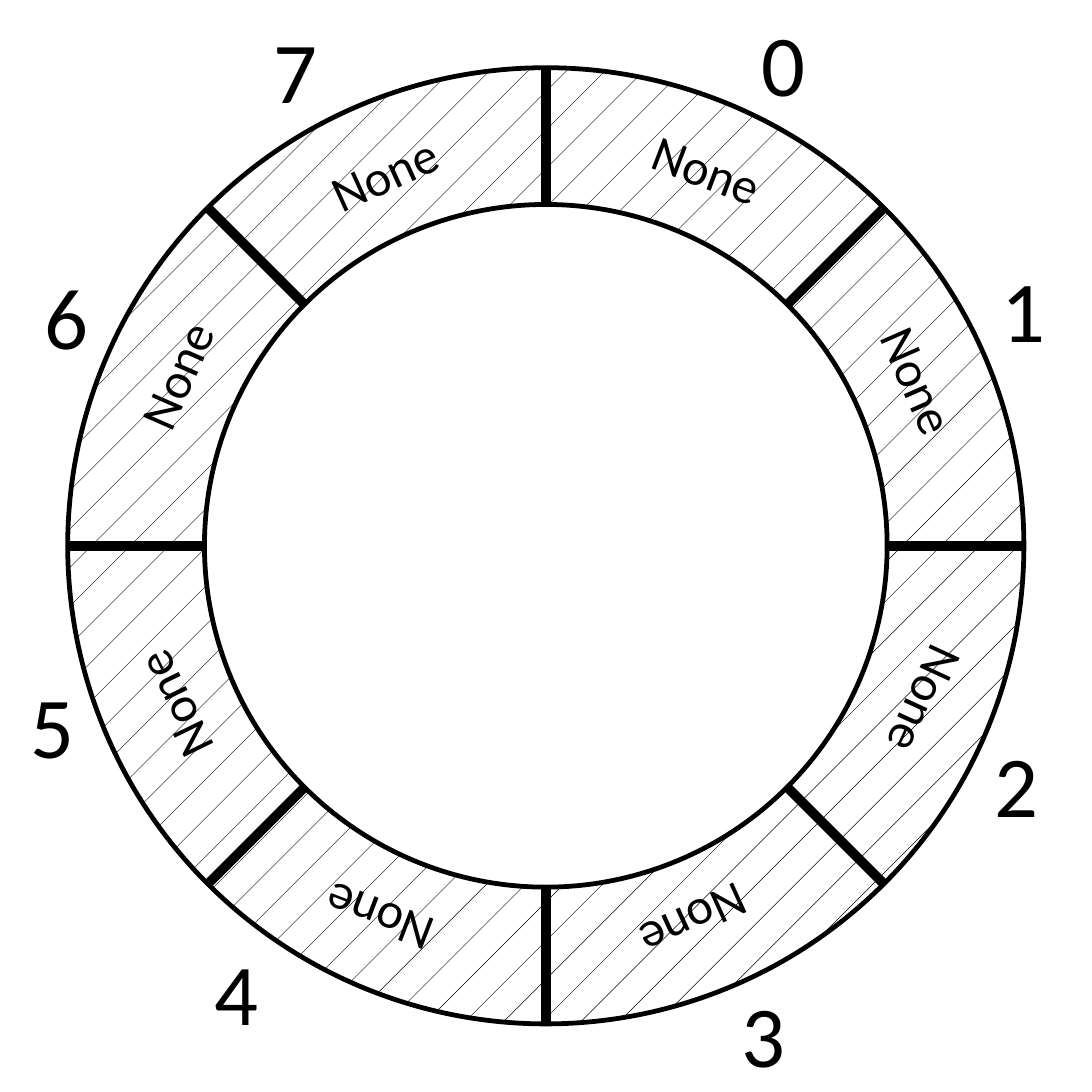
"""Build a slide showing an empty ring buffer with eight numbered slots."""
from dataclasses import dataclass
from math import cos, pi, sin

from lxml.etree import SubElement
from pptx import Presentation
from pptx.dml.color import RGBColor
from pptx.dml.line import LineFormat
from pptx.enum.dml import MSO_PATTERN
from pptx.enum.shapes import MSO_CONNECTOR, MSO_SHAPE
from pptx.enum.text import MSO_AUTO_SIZE
from pptx.oxml.ns import qn
from pptx.shapes.autoshape import Shape
from pptx.slide import Slide
from pptx.util import Pt

SIDE = 226.8
CENTER = SIDE / 2
OUTER_RADIUS = 99.3
INNER_RADIUS = 70.9
BLACK = "000000"
WHITE = "FFFFFF"


@dataclass(frozen=True)
class Label:
    """Size and font formats of one kind of label."""
    width: float
    height: float
    formats: dict


@dataclass(frozen=True)
class Slot:
    """Places of the index and the rotated value of one slot."""
    index_left: float
    index_top: float
    value_left: float
    value_top: float
    rotation: float


INDEX = Label(23.8, 28.8, {"name": "Calibri", "size": Pt(18)})
VALUE = Label(37.4, 20.2, {"name": "Calibri", "size": Pt(10.5)})

SLOTS = [
    Slot(151.2, -1.4, 128.2, 25.2, 20.9),
    Slot(200.9, 49.7, 172.1, 69.1, 66.3),
    Slot(199.4, 148.3, 173.5, 135.4, 114.8),
    Slot(146.9, 200.2, 125.3, 181.4, 155.6),
    Slot(37.4, 191.5, 59.8, 180.7, 200.9),
    Slot(-0.7, 136.1, 17.3, 136.1, 244),
    Slot(2.2, 51.1, 18, 67.7, 293.7),
    Slot(49.7, 0, 61.2, 25.9, 335.5),
]


def color(value: str) -> RGBColor:
    """Turn a hex string into a colour."""
    return RGBColor.from_string(value)


def set_line(line: LineFormat, width: float) -> None:
    """Give a line its colour and width."""
    line.color.rgb = color(BLACK)
    line.width = Pt(width)


def add_circle(s: Slide, radius: float) -> Shape:
    """Add an outlined circle around the ring's center."""
    corner, size = Pt(CENTER - radius), Pt(2 * radius)
    sp = s.shapes.add_shape(MSO_SHAPE.OVAL, corner, corner, size, size)
    sp.shadow.inherit = False
    set_line(sp.line, 1)
    return sp


def add_spoke(s: Slide, angle: float) -> None:
    """Add a divider from the center to the outer circle."""
    x = CENTER + OUTER_RADIUS * cos(angle)
    y = CENTER + OUTER_RADIUS * sin(angle)
    spoke = s.shapes.add_connector(
        MSO_CONNECTOR.STRAIGHT, Pt(CENTER), Pt(CENTER), Pt(x), Pt(y))
    set_line(spoke.line, 2)
    SubElement(spoke._element.spPr, qn("a:effectLst"))


def add_label(s: Slide, label: Label, text: str, left: float, top: float,
              rotation: float = 0) -> None:
    """Add one label, turned if asked."""
    sp = s.shapes.add_textbox(
        Pt(left), Pt(top), Pt(label.width), Pt(label.height))
    sp.rotation = rotation
    tf = sp.text_frame
    tf.word_wrap = False
    tf.auto_size = MSO_AUTO_SIZE.SHAPE_TO_FIT_TEXT
    r = tf.paragraphs[0].add_run()
    r.text = text
    r.font.color.rgb = color(BLACK)
    for name, value in label.formats.items():
        setattr(r.font, name, value)


def main() -> None:
    """Draw the ring and its labels, then save."""
    prs = Presentation()
    prs.slide_width = prs.slide_height = Pt(SIDE)
    s = prs.slides.add_slide(prs.slide_layouts[6])

    ring = add_circle(s, OUTER_RADIUS)
    ring.fill.patterned()
    ring.fill.pattern = MSO_PATTERN.PERCENT_10
    ring.fill.fore_color.rgb = color(BLACK)
    ring.fill.back_color.rgb = color(WHITE)

    for i in range(len(SLOTS)):
        add_spoke(s, 2 * pi * i / len(SLOTS))

    hole = add_circle(s, INNER_RADIUS)
    hole.fill.solid()
    hole.fill.fore_color.rgb = color(WHITE)

    for i, slot in enumerate(SLOTS):
        add_label(s, INDEX, str(i), slot.index_left, slot.index_top)
        add_label(s, VALUE, "None", slot.value_left, slot.value_top,
                  slot.rotation)

    prs.save("out.pptx")


if __name__ == "__main__":
    main()
